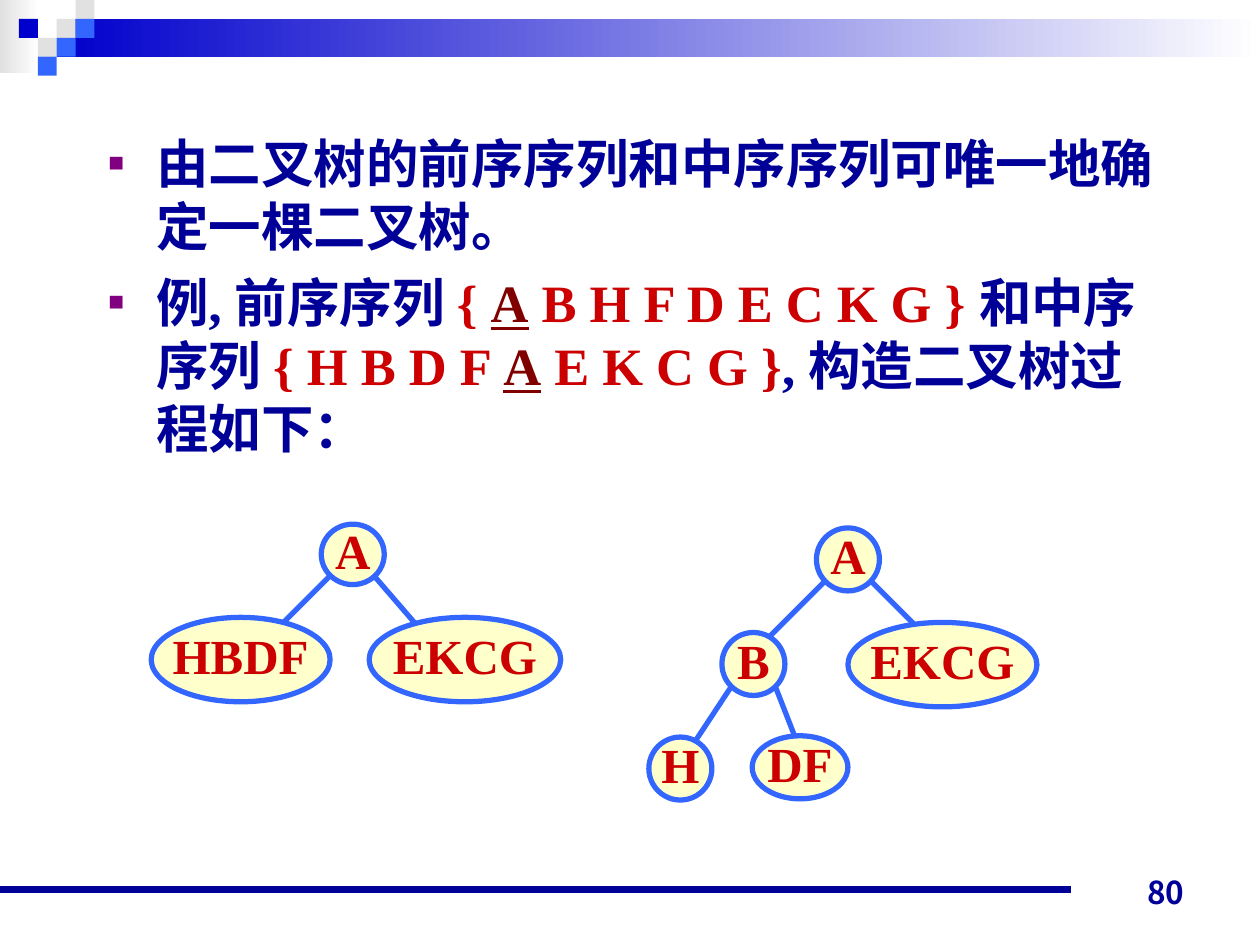
"""Builds the slide on rebuilding a binary tree from two traversals."""
from lxml.etree import SubElement as Sub
from pptx import Presentation
from pptx.dml.color import RGBColor as RGB
from pptx.enum.shapes import MSO_CONNECTOR as Link, MSO_SHAPE as Kind
from pptx.enum.text import MSO_ANCHOR as Anchor, MSO_AUTO_SIZE as Fit, PP_ALIGN as Align
from pptx.oxml.ns import qn
from pptx.util import Pt

HUE = {"navy": "000099", "deep": "0000CC", "blue": "3366FF", "gray": "E1E1E1",
       "white": "FFFFFF", "cream": "FFFFCC", "red": "CC0000", "wine": "800000",
       "plum": "800080"}
hue = {name: RGB.from_string(code) for name, code in HUE.items()}
FACE = "Times New Roman"

deck = Presentation()
deck.slide_width, deck.slide_height = Pt(720), Pt(540)
col = deck.slide_width / 100
slide = deck.slides.add_slide(deck.slide_layouts[1])
shapes = slide.shapes
title = shapes.title
title.element.getparent().remove(title.element)


def add(kind, *spot):
    shape = shapes.add_shape(kind, *(int(n * col) for n in spot))
    shape.shadow.inherit = False
    return shape


def join(tone, width, *ends):
    line = shapes.add_connector(Link.STRAIGHT, *(int(n * col) for n in ends))
    line.line.color.rgb = hue[tone]
    line.line.width = Pt(width)
    Sub(line._element.spPr, qn("a:effectLst"))


for spot, tone in [((0, 0, 3.1, 5.8), "gray"), ((4.5, 1.5, 95.5, 3), "deep")]:
    band = add(Kind.RECTANGLE, *spot)
    band.line.fill.background()
    band.fill.gradient()
    band.fill.gradient_angle = 0
    for stop, name in zip(band.fill.gradient_stops, (tone, "white")):
        stop.color.rgb = hue[name]

step = 1.5
for x, y, tone in [(3, 1, "gray"), (4, 0, "gray"), (4, 1, "blue"), (2, 2, "gray"),
                   (1, 1, "deep"), (3, 2, "blue"), (2, 3, "blue")]:
    tile = add(Kind.RECTANGLE, x * step, y * step, step, step)
    tile.fill.solid()
    tile.fill.fore_color.rgb = hue[tone]
    tile.line.fill.background()

join("navy", 4.5, 0, 70.6, 85, 70.6)

page = shapes.add_textbox(*(int(n * col) for n in (71.7, 67.8, 23.3, 5)))
page.text_frame.word_wrap = True
page.text_frame.vertical_anchor = Anchor.BOTTOM
para = page.text_frame.paragraphs[0]
para.text = "80"
para.alignment = Align.RIGHT
para.font.size, para.font.bold = Pt(18), True
para.font.name = "Noto Sans CJK JP"
para.font.color.rgb = hue["navy"]

POINTS = [
    [("由二叉树的前序序列和中序序列可唯一地确定一棵二叉树。", "navy")],
    [("例, 前序序列 ", "navy"), ("{ ", "red"), ("A", "wine"),
     (" B H F D E C K G } ", "red"), ("和中序序列 ", "navy"),
     ("{ H B D F ", "red"), ("A", "wine"), (" E K C G }", "red"),
     (", 构造二叉树过程如下：", "navy")],
]
body = slide.placeholders[1]
body.left, body.top, body.width, body.height = (
    int(n * col) for n in (7.6, 9.9, 86.1, 28.8))
frame = body.text_frame
frame.auto_size = Fit.NONE
frame.vertical_anchor = Anchor.TOP
for i, point in enumerate(POINTS):
    para = frame.add_paragraph() if i else frame.paragraphs[0]
    para.space_before, para.line_spacing = Pt(7.5), Pt(36)
    props = para._p.get_or_add_pPr()
    props.set("marL", str(int(3.8 * col)))
    props.set("indent", str(int(-3.8 * col)))
    Sub(Sub(props, qn("a:buClr")), qn("a:srgbClr"), val=HUE["plum"])
    Sub(props, qn("a:buSzPct"), val="50000")
    Sub(props, qn("a:buFont"), typeface=FACE)
    Sub(props, qn("a:buChar"), char="■")
    para.font.name, para.font.size, para.font.bold = FACE, Pt(30), True
    for words, tone in point:
        run = para.add_run()
        run.text = words
        run.font.color.rgb = hue[tone]
        if tone == "wine":
            run.font.underline = True

EDGES = [(29.6, 45.6, 34, 50.7), (26.3, 45.6, 21.3, 50.6),
         (61.5, 54.4, 63.1, 58.5), (58.1, 54.4, 54.8, 59.4),
         (65.6, 46, 60.6, 51), (69, 46, 74, 51)]
for edge in EDGES:
    join("blue", 3, *edge)

NODES = [("A", 25.5, 41.6, 5, 4.8), ("HBDF", 12, 49, 14.2, 6.7),
         ("EKCG", 29.3, 49, 15.2, 6.7), ("A", 64.8, 41.9, 5, 5),
         ("EKCG", 67.3, 49.4, 15, 6.7), ("B", 57.3, 50.2, 5, 5),
         ("H", 51.5, 58.5, 5, 5), ("DF", 59.7, 58.4, 7.6, 5)]
for label, *spot in NODES:
    node = add(Kind.OVAL, *spot)
    node.fill.solid()
    node.fill.fore_color.rgb = hue["cream"]
    node.line.color.rgb = hue["blue"]
    node.line.width = Pt(3)
    frame = node.text_frame
    frame.word_wrap = False
    frame.vertical_anchor = Anchor.MIDDLE
    frame.margin_left = frame.margin_right = frame.margin_top = 0
    frame.margin_bottom = Pt(5)
    para = frame.paragraphs[0]
    para.text = label
    para.alignment = Align.CENTER
    para.font.name, para.font.size, para.font.bold = FACE, Pt(28), True
    para.font.color.rgb = hue["red"]

deck.save("out.pptx")
